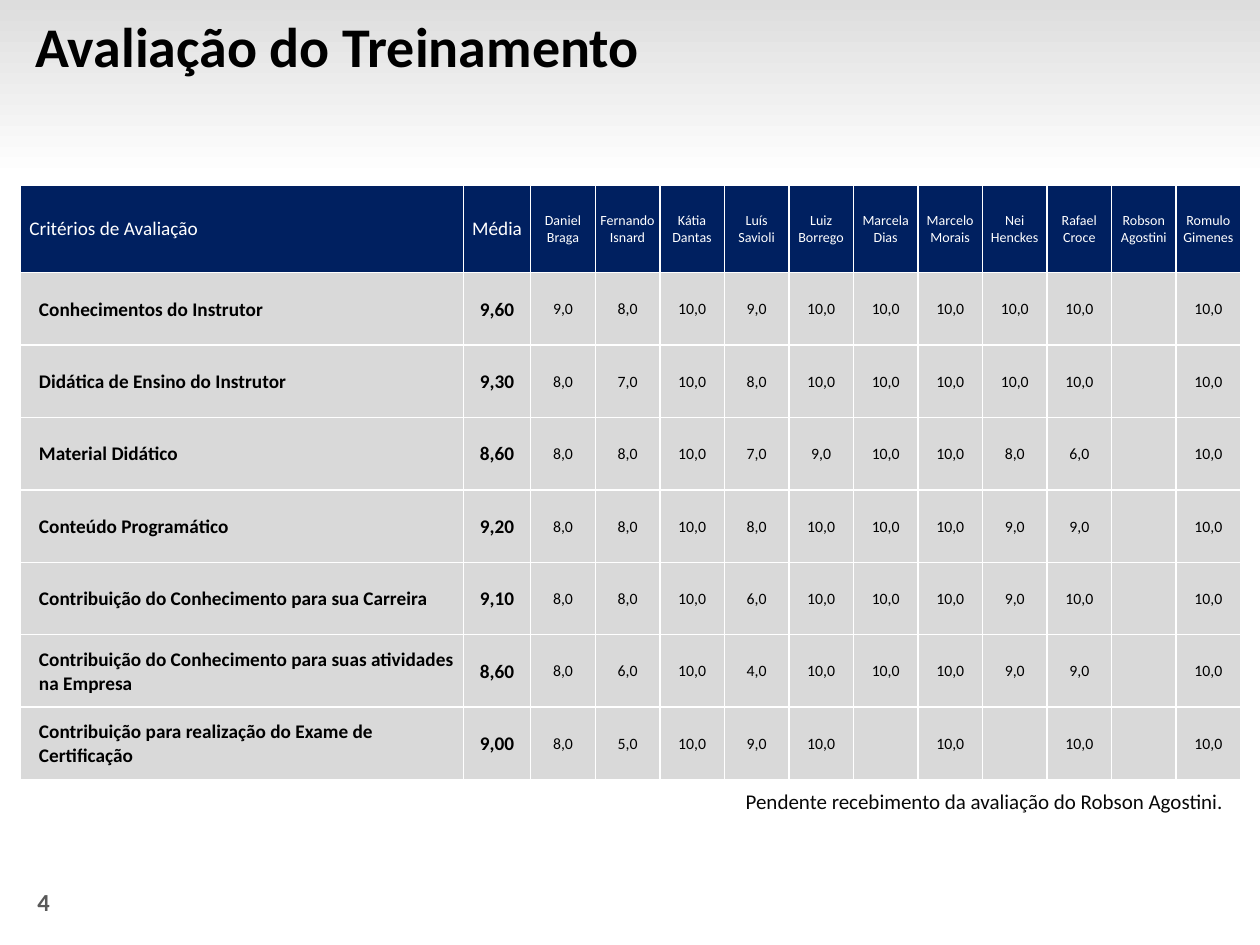
from dataclasses import dataclass
from typing import Optional

from lxml.etree import SubElement
from pptx import Presentation
from pptx.dml.color import RGBColor
from pptx.enum.shapes import MSO_SHAPE
from pptx.enum.text import MSO_ANCHOR, MSO_AUTO_SIZE, PP_ALIGN
from pptx.oxml.ns import qn
from pptx.util import Pt


@dataclass(frozen=True)
class TextStyle:
    size: float
    color: str
    bold: bool = False
    align: PP_ALIGN = PP_ALIGN.LEFT


@dataclass(frozen=True)
class Theme:
    font: str = "Calibri"
    header_fill: str = "002060"
    body_fill: str = "D9D9D9"
    border: str = "FFFFFF"
    band_colors: tuple = ("DDDDDD", "FFFFFF")
    title: TextStyle = TextStyle(32, "000000", True)
    page_number: TextStyle = TextStyle(14, "595959", True)
    note: TextStyle = TextStyle(12, "080808", align=PP_ALIGN.RIGHT)
    header: TextStyle = TextStyle(11, "FFFFFF")
    mean_header: TextStyle = TextStyle(11, "FFFFFF", align=PP_ALIGN.CENTER)
    person: TextStyle = TextStyle(8, "FFFFFF", align=PP_ALIGN.CENTER)
    criterion: TextStyle = TextStyle(11, "000000", True)
    mean: TextStyle = TextStyle(11, "000000", True, PP_ALIGN.CENTER)
    score: TextStyle = TextStyle(9, "000000", align=PP_ALIGN.CENTER)


@dataclass(frozen=True)
class Criterion:
    name: str
    scores: tuple[Optional[int], ...]

    def mean(self) -> float:
        given = [score for score in self.scores if score is not None]
        return sum(given) / len(given)


THEME = Theme()
PEOPLE = (
    "Daniel Braga", "Fernando Isnard", "Kátia Dantas", "Luís Savioli",
    "Luiz Borrego", "Marcela Dias", "Marcelo Morais", "Nei Henckes",
    "Rafael Croce", "Robson Agostini", "Romulo Gimenes",
)
CRITERIA = (
    Criterion("Conhecimentos do Instrutor", (9, 8, 10, 9, 10, 10, 10, 10, 10, None, 10)),
    Criterion("Didática de Ensino do Instrutor", (8, 7, 10, 8, 10, 10, 10, 10, 10, None, 10)),
    Criterion("Material Didático", (8, 8, 10, 7, 9, 10, 10, 8, 6, None, 10)),
    Criterion("Conteúdo Programático", (8, 8, 10, 8, 10, 10, 10, 9, 9, None, 10)),
    Criterion("Contribuição do Conhecimento para sua Carreira",
              (8, 8, 10, 6, 10, 10, 10, 9, 10, None, 10)),
    Criterion("Contribuição do Conhecimento para suas atividades na Empresa",
              (8, 6, 10, 4, 10, 10, 10, 9, 9, None, 10)),
    Criterion("Contribuição para realização do Exame de Certificação",
              (8, 5, 10, 9, 10, None, 10, None, 10, None, 10)),
)
COLUMN_WIDTHS = (253, 38.5) + (36.9,) * len(PEOPLE)
ROW_HEIGHTS = (50.2,) + (41.4,) * len(CRITERIA)


def decimal_comma(value: float, digits: int) -> str:
    return f"{value:.{digits}f}".replace(".", ",")


def write_text(text_frame, lines: list[str], style: TextStyle) -> None:
    for index, line in enumerate(lines):
        paragraph = text_frame.paragraphs[0] if index == 0 else text_frame.add_paragraph()
        paragraph.alignment = style.align
        run = paragraph.add_run()
        run.text = line
        run.font.name = THEME.font
        run.font.size = Pt(style.size)
        run.font.bold = style.bold
        run.font.color.rgb = RGBColor.from_string(style.color)


def place(shape, left: float, top: float, width: float, height: float) -> None:
    shape.left, shape.top = Pt(left), Pt(top)
    shape.width, shape.height = Pt(width), Pt(height)


def add_title(slide, text: str) -> None:
    title = slide.shapes.title
    place(title, -1.4, 0, 576, 51)
    text_frame = title.text_frame
    text_frame.auto_size = MSO_AUTO_SIZE.NONE
    text_frame.vertical_anchor = MSO_ANCHOR.MIDDLE
    text_frame.margin_left = Pt(21.6)
    write_text(text_frame, [text], THEME.title)


def add_band(slide, width: float, height: float) -> None:
    band = slide.shapes.add_shape(MSO_SHAPE.RECTANGLE, 0, 0, Pt(width), Pt(height))
    band.shadow.inherit = False
    band.line.fill.background()
    band.fill.gradient()
    band.fill.gradient_angle = 270
    for stop, color in zip(band.fill.gradient_stops, THEME.band_colors):
        stop.color.rgb = RGBColor.from_string(color)
    slide.shapes.title.element.addprevious(band.element)


def add_label(slide, text: str, style: TextStyle, left: float, top: float,
              width: float, height: float) -> None:
    label = slide.shapes.add_textbox(Pt(left), Pt(top), Pt(width), Pt(height))
    label.text_frame.word_wrap = True
    label.text_frame.auto_size = MSO_AUTO_SIZE.SHAPE_TO_FIT_TEXT
    write_text(label.text_frame, [text], style)


def add_borders(cell) -> None:
    properties = cell._tc.get_or_add_tcPr()
    for side in ("a:lnL", "a:lnR", "a:lnT", "a:lnB"):
        line = SubElement(properties, qn(side), w=str(Pt(1)))
        fill = SubElement(line, qn("a:solidFill"))
        SubElement(fill, qn("a:srgbClr"), val=THEME.border)


def fill_cell(cell, lines: list[str], style: TextStyle, fill: str,
              margin_left: float = 0.7) -> None:
    add_borders(cell)
    cell.fill.solid()
    cell.fill.fore_color.rgb = RGBColor.from_string(fill)
    cell.vertical_anchor = MSO_ANCHOR.MIDDLE
    cell.margin_left = Pt(margin_left)
    cell.margin_top = cell.margin_right = Pt(0.7)
    cell.margin_bottom = 0
    write_text(cell.text_frame, lines, style)


def add_score_table(slide, left: float, top: float) -> None:
    table = slide.shapes.add_table(
        len(ROW_HEIGHTS), len(COLUMN_WIDTHS), Pt(left), Pt(top),
        Pt(sum(COLUMN_WIDTHS)), Pt(sum(ROW_HEIGHTS)),
    ).table
    table.horz_banding = False
    for column, width in zip(table.columns, COLUMN_WIDTHS):
        column.width = Pt(width)
    for row, height in zip(table.rows, ROW_HEIGHTS):
        row.height = Pt(height)

    fill_cell(table.cell(0, 0), ["Critérios de Avaliação"], THEME.header, THEME.header_fill, 5)
    fill_cell(table.cell(0, 1), ["Média"], THEME.mean_header, THEME.header_fill)
    for column, person in enumerate(PEOPLE, start=2):
        fill_cell(table.cell(0, column), person.split(), THEME.person, THEME.header_fill)

    for row, criterion in enumerate(CRITERIA, start=1):
        fill_cell(table.cell(row, 0), [criterion.name], THEME.criterion, THEME.body_fill, 10.5)
        fill_cell(table.cell(row, 1), [decimal_comma(criterion.mean(), 2)],
                  THEME.mean, THEME.body_fill)
        for column, score in enumerate(criterion.scores, start=2):
            lines = [] if score is None else [decimal_comma(score, 1)]
            fill_cell(table.cell(row, column), lines, THEME.score, THEME.body_fill)


def main() -> None:
    presentation = Presentation()
    presentation.slide_width, presentation.slide_height = Pt(720), Pt(540)
    slide = presentation.slides.add_slide(presentation.slide_layouts[5])
    add_band(slide, 720, 102)
    add_title(slide, "Avaliação do Treinamento")
    add_label(slide, "4", THEME.page_number, 14.2, 503.5, 57, 24.5)
    add_score_table(slide, 11.8, 105.6)
    add_label(slide, "Pendente recebimento da avaliação do Robson Agostini.",
              THEME.note, 368.4, 447.2, 337.6, 21.8)
    presentation.save("out.pptx")


if __name__ == "__main__":
    main()
